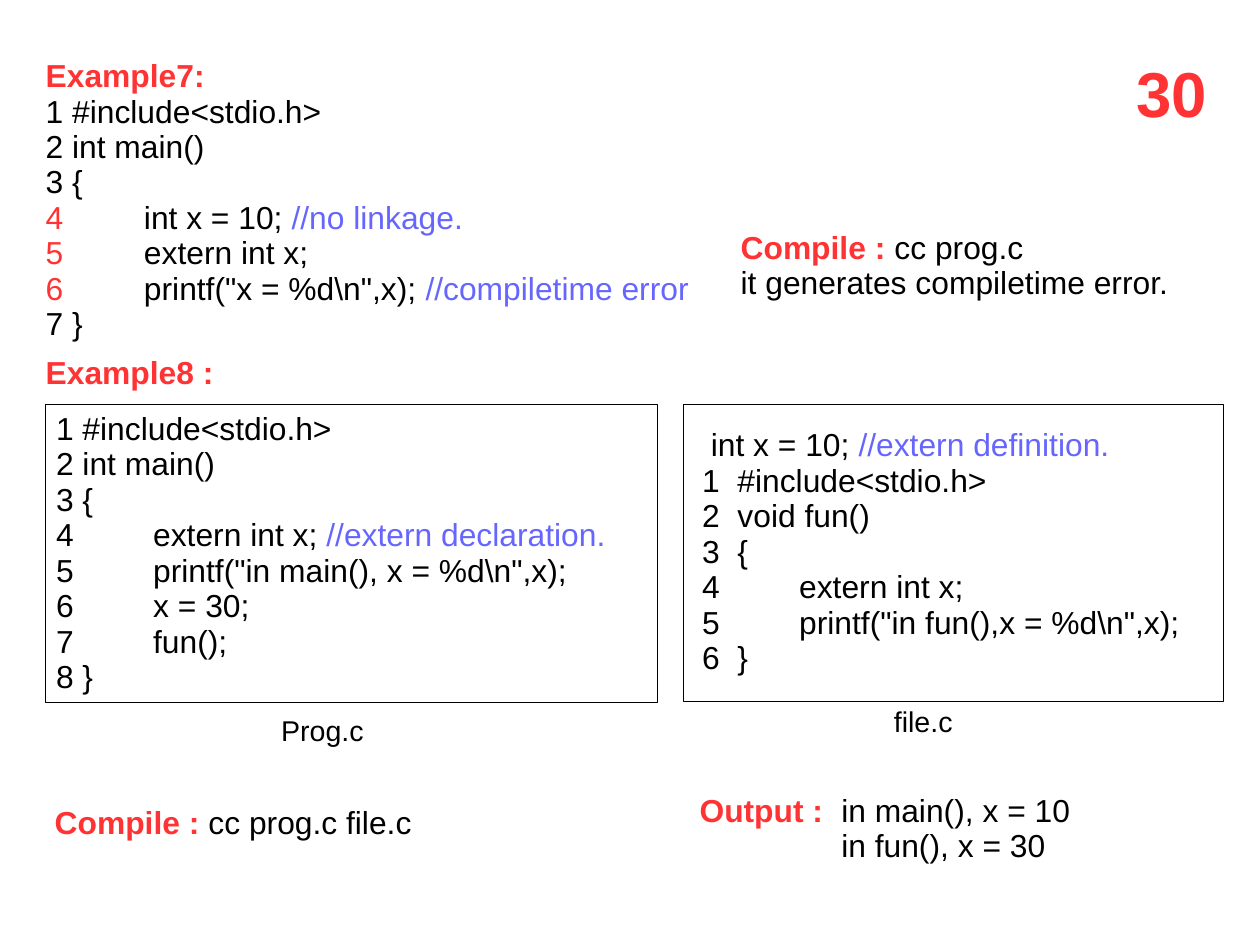
from lxml.etree import SubElement
from pptx import Presentation
from pptx.dml.color import RGBColor
from pptx.enum.shapes import MSO_SHAPE
from pptx.enum.text import MSO_ANCHOR, MSO_AUTO_SIZE, PP_ALIGN
from pptx.oxml.ns import qn
from pptx.util import Cm, Inches, Pt

RED = RGBColor(0xFF, 0x33, 0x33)
BLUE = RGBColor(0x66, 0x66, 0xFF)
BLACK = RGBColor(0, 0, 0)
WHITE = RGBColor(0xFF, 0xFF, 0xFF)

# Run styles: colour, bold
HEADING = (RED, True)
CODE = (BLACK, False)
COMMENT = (BLUE, False)
MARKED = (RED, False)

PAGE_NUMBER = [[("30", HEADING)]]
EXAMPLE_7 = [
    [("Example7:", HEADING)],
    [("1 #include<stdio.h>", CODE)],
    [("2 int main()", CODE)],
    [("3 {", CODE)],
    [("4", MARKED), ("\tint x = 10; ", CODE), ("//no linkage.", COMMENT)],
    [("5", MARKED), ("\textern int x;", CODE)],
    [("6", MARKED), ('\tprintf("x = %d\\n",x); ', CODE), ("//compiletime error", COMMENT)],
    [("7 }", CODE)],
]
COMPILE_7 = [
    [("Compile : ", HEADING), ("cc prog.c", CODE)],
    [("it generates compiletime error.", CODE)],
]
EXAMPLE_8 = [[("Example8 :", HEADING)]]
PROG_C = [
    [("1 #include<stdio.h>", CODE)],
    [("2 int main()", CODE)],
    [("3 {", CODE)],
    [("4\textern int x;", CODE), (" //extern declaration.", COMMENT)],
    [('5\tprintf("in main(), x = %d\\n",x);', CODE)],
    [("6\tx = 30;", CODE)],
    [("7\tfun();", CODE)],
    [("8 }", CODE)],
]
FILE_C = [
    [(" int x = 10; ", CODE), ("//extern definition.", COMMENT)],
    [("1\t#include<stdio.h>", CODE)],
    [("2\tvoid fun()", CODE)],
    [("3\t{", CODE)],
    [("4\t\textern int x;", CODE)],
    [('5\t\tprintf("in fun(),x = %d\\n",x);', CODE)],
    [("6\t}", CODE)],
]
COMPILE_8 = [[("Compile :", HEADING), (" cc prog.c file.c", CODE)]]
OUTPUT = [
    [("Output :", HEADING), ("\tin main(), x = 10", CODE)],
    [("\tin fun(), x = 30", CODE)],
]

# Places are left, top, width, height in percent of the slide
PAGE_NUMBER_PLACE = (89.29, 5.8, 7.35, 9.31)
FRAMES = [(3.63, 42.81, 48.55, 31.56), (54.26, 42.81, 42.83, 31.44)]

# Place, paragraphs, size in points, left inset and tab stops in inches
TEXTS = [
    ((1.45, 5.68, 61.43, 31.44), EXAMPLE_7, 20, 0.24, [0.86]),
    ((57.89, 23.82, 36.39, 8.95), COMPILE_7, 20, 0.1, []),
    ((1.36, 37.12, 20.78, 8.59), EXAMPLE_8, 20, 0.25, []),
    ((21.42, 75.21, 8.35, 4.84), [[("Prog.c", CODE)]], 18, 0.1, []),
    ((70.05, 74.24, 6.44, 4.84), [[("file.c", CODE)]], 18, 0.1, []),
    ((3.45, 84.76, 30.13, 5.2), COMPILE_8, 20, 0.1, []),
    ((2.18, 43, 50.09, 31.44), PROG_C, 20, 0.25, [0.85]),
    ((53.45, 44.74, 42.29, 27.69), FILE_C, 20, 0.25, [0.31, 0.85]),
    ((54.63, 83.43, 34.66, 8.95), OUTPUT, 20, 0.1, [1.24]),
]

deck = Presentation()
deck.slide_width, deck.slide_height = Cm(28), Cm(21)
slide = deck.slides.add_slide(deck.slide_layouts[5])


def to_lengths(place):
    extents = (deck.slide_width, deck.slide_height) * 2
    return [round(share * extent / 100) for share, extent in zip(place, extents)]


def add_tab_stops(paragraph, stops):
    tab_list = SubElement(paragraph._p.get_or_add_pPr(), qn("a:tabLst"))
    for stop in stops:
        SubElement(tab_list, qn("a:tab"), pos=str(Inches(stop)), algn="l")


def write(holder, paragraphs, size, inset, stops):
    frame = holder.text_frame
    frame.word_wrap = True
    frame.auto_size = MSO_AUTO_SIZE.NONE
    frame.vertical_anchor = MSO_ANCHOR.TOP
    frame.margin_left, frame.margin_right = Inches(inset), 0
    for index, runs in enumerate(paragraphs):
        paragraph = frame.add_paragraph() if index else frame.paragraphs[0]
        paragraph.alignment = PP_ALIGN.LEFT
        paragraph.line_spacing = 0.93
        if stops:
            add_tab_stops(paragraph, stops)
        for words, (color, bold) in runs:
            run = paragraph.add_run()
            run.text = words
            run.font.name = "Arial"
            run.font.size = Pt(size)
            run.font.bold = bold
            run.font.color.rgb = color


title = slide.shapes.title
title.left, title.top, title.width, title.height = to_lengths(PAGE_NUMBER_PLACE)
write(title, PAGE_NUMBER, 40, 0.1, [])

for place in FRAMES:
    code_frame = slide.shapes.add_shape(MSO_SHAPE.RECTANGLE, *to_lengths(place))
    code_frame.shadow.inherit = False
    code_frame.fill.solid()
    code_frame.fill.fore_color.rgb = WHITE
    code_frame.line.color.rgb = BLACK
    code_frame.line.width = Pt(0.75)

for place, paragraphs, size, inset, stops in TEXTS:
    write(slide.shapes.add_textbox(*to_lengths(place)), paragraphs, size, inset, stops)

deck.save("out.pptx")
